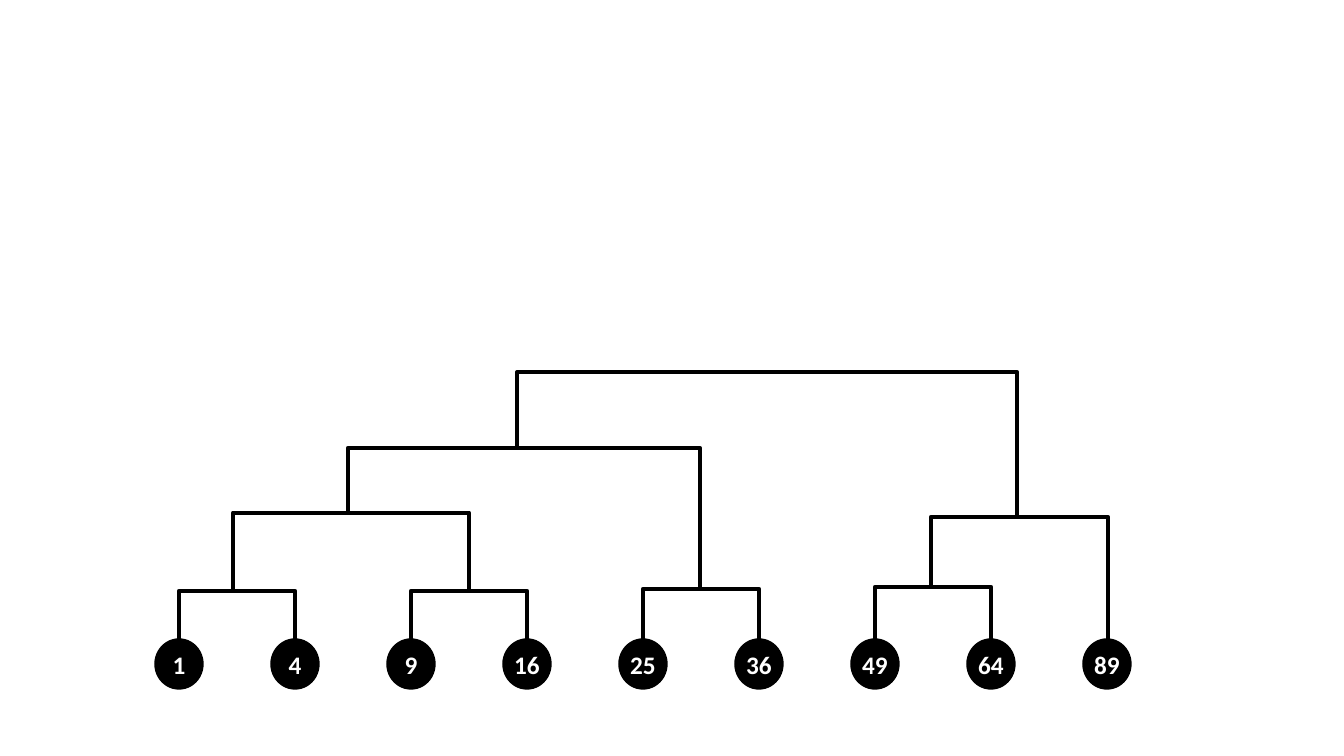
from lxml.etree import SubElement
from pptx import Presentation
from pptx.dml.color import RGBColor
from pptx.enum.shapes import MSO_CONNECTOR, MSO_SHAPE
from pptx.enum.text import MSO_ANCHOR, PP_ALIGN
from pptx.oxml.ns import qn
from pptx.util import Pt

BLACK = RGBColor(0, 0, 0)
WHITE = RGBColor(255, 255, 255)
EMU_PER_PIXEL = 914400 / 100.8

VALUES = [1, 4, 9, 16, 25, 36, 49, 64, 89]
LEAF_STEP, LEAF_WIDTH, LEAF_HEIGHT = 116, 48, 50
TREE_BOX = (155, 372, 976, 317)
PAIR_BARS = {0: 219, 2: 219, 4: 217, 6: 215}
UPPER_BRACKETS = [
    (78, 220, 140, 314, 221),
    (776, 214, 145, 953, 267),
    (193, 140, 76, 545, 217),
    (362, 76, 0, 862, 145),
]


def emu(pixels):
    """Turn pixels into EMU."""
    return round(pixels * EMU_PER_PIXEL)


def add_leaf(slide, value, left, top):
    """Add one numbered circle."""
    leaf = slide.shapes.add_shape(
        MSO_SHAPE.OVAL, emu(left), emu(top), emu(LEAF_WIDTH), emu(LEAF_HEIGHT))
    leaf.shadow.inherit = False
    leaf.fill.solid()
    leaf.fill.fore_color.rgb = BLACK
    leaf.line.color.rgb = BLACK
    leaf.line.width = Pt(1)
    frame = leaf.text_frame
    frame.margin_left = frame.margin_right = frame.margin_top = frame.margin_bottom = 0
    frame.word_wrap = False
    frame.vertical_anchor = MSO_ANCHOR.MIDDLE
    para = frame.paragraphs[0]
    para.text = str(value)
    para.alignment = PP_ALIGN.CENTER
    para.font.name = "Calibri"
    para.font.size = Pt(18)
    para.font.bold = True
    para.font.color.rgb = WHITE


def add_bracket(slide, left, left_foot, bar, right, right_foot):
    """Add an elbow connector that rises to a bar, with the right foot the lower one."""
    span, drop = right - left, right_foot - left_foot
    center_x, center_y = (left + right) / 2, (left_foot + right_foot) / 2
    bracket = slide.shapes.add_connector(
        MSO_CONNECTOR.ELBOW,
        emu(center_x + drop / 2), emu(center_y - span / 2),
        emu(center_x - drop / 2), emu(center_y + span / 2))
    bracket.line.color.rgb = BLACK
    bracket.line.width = Pt(3)
    properties = bracket._element.spPr
    properties.find(qn("a:xfrm")).set("rot", str(270 * 60000))
    adjustments = properties.find(qn("a:prstGeom")).find(qn("a:avLst"))
    bend = round((bar - left_foot) / drop * 100000)
    SubElement(adjustments, qn("a:gd"), name="adj1", fmla=f"val {bend}")
    SubElement(properties, qn("a:effectLst"))


def add_tree(slide, box):
    """Draw the leaves and the brackets joining them inside the box."""
    left, top, width, height = box
    leaf_top = top + height - LEAF_HEIGHT
    for index, value in enumerate(VALUES):
        add_leaf(slide, value, left + index * LEAF_STEP, leaf_top)
    for index, bar in PAIR_BARS.items():
        start = left + index * LEAF_STEP + LEAF_WIDTH / 2
        add_bracket(slide, start, leaf_top, top + bar, start + LEAF_STEP, leaf_top + 4)
    for start, start_foot, bar, end, end_foot in UPPER_BRACKETS:
        add_bracket(slide, left + start, top + start_foot, top + bar,
                    left + end, top + end_foot)


def main():
    """Build and save the deck."""
    deck = Presentation()
    deck.slide_width, deck.slide_height = emu(1344), emu(756)
    page = deck.slides.add_slide(deck.slide_layouts[6])
    add_tree(page, TREE_BOX)
    deck.save("out.pptx")


main()
